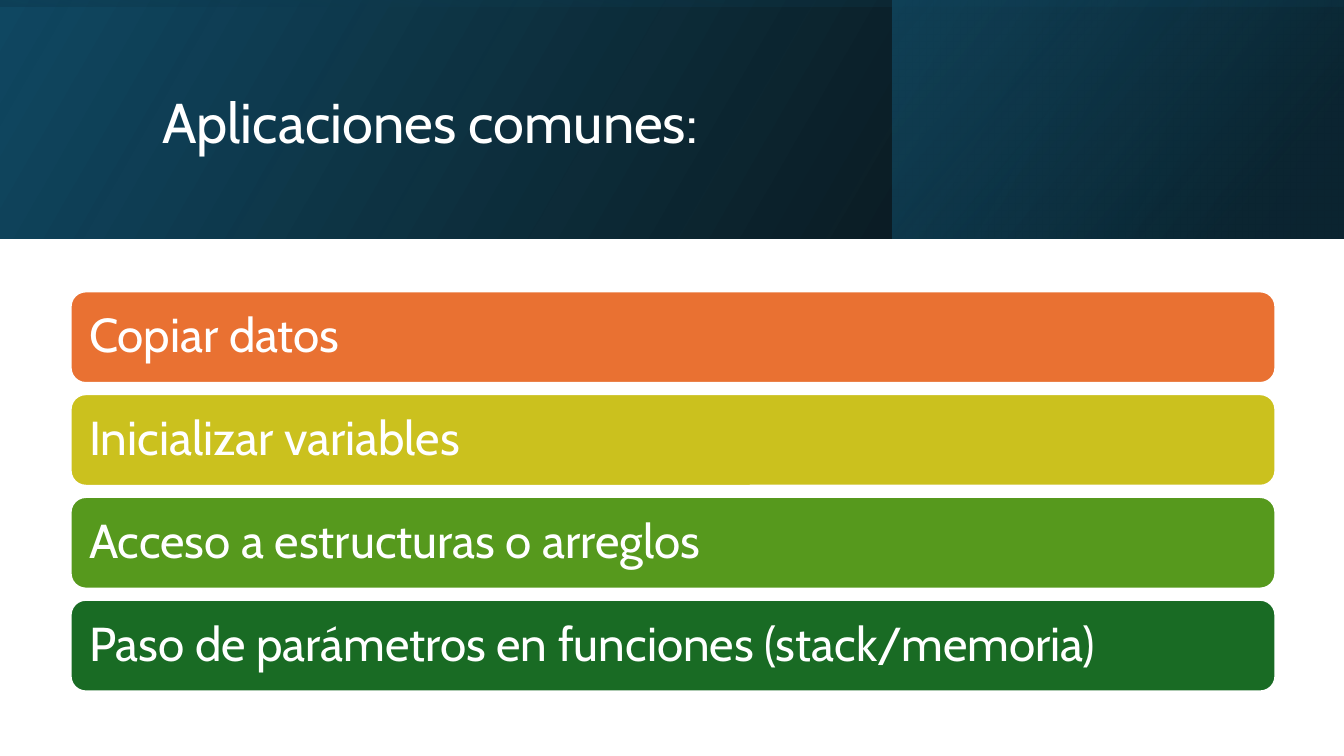
from pptx import Presentation
from pptx.dml.color import RGBColor
from pptx.enum.shapes import MSO_SHAPE
from pptx.enum.text import MSO_ANCHOR, PP_ALIGN
from pptx.oxml.ns import qn
from pptx.util import Inches, Pt

RECTANGLE = MSO_SHAPE.RECTANGLE
ROUNDED = MSO_SHAPE.ROUNDED_RECTANGLE
MIDDLE = MSO_ANCHOR.MIDDLE
LEFT = PP_ALIGN.LEFT

FONT = "Cabin"
WHITE = "FFFFFF"
SLIDE_WIDTH, SLIDE_HEIGHT = 13.33, 7.5
HEADER_HEIGHT = 2.37
ACCENT_WIDTH = 4.48
BAR_LEFT, BAR_TOP, BAR_WIDTH, BAR_HEIGHT = 0.7, 2.89, 11.95, 0.91
BAR_PITCH = 1.02

APPLICATIONS = [
    ("Copiar datos", "E97132"),
    ("Inicializar variables", "CBC11E"),
    ("Acceso a estructuras o arreglos", "56991D"),
    ("Paso de parámetros en funciones (stack/memoria)", "196B24"),
]


def rgb(color):
    return RGBColor.from_string(color)


def add_gradient_panel(slide, left, top, width, height, stops, angle, rotation=0):
    """Add a mirrored panel; stops are (position, colour, opacity) in percent."""
    panel = slide.shapes.add_shape(
        RECTANGLE, Inches(left), Inches(top), Inches(width), Inches(height))
    panel.shadow.inherit = False
    panel.line.fill.background()
    panel.rotation = rotation
    panel._element.spPr.find(qn("a:xfrm")).set("flipH", "1")
    panel.fill.gradient()
    panel.fill.gradient_angle = angle
    for gradient_stop, (position, color, _) in zip(panel.fill.gradient_stops, stops):
        gradient_stop.position = position / 100
        gradient_stop.color.rgb = rgb(color)
    stop_colors = panel._element.spPr.iter(qn("a:srgbClr"))
    for stop_color, (_, _, opacity) in zip(list(stop_colors), stops):
        alpha = stop_color.makeelement(qn("a:alpha"), {"val": str(opacity * 1000)})
        stop_color.append(alpha)


def write_text(frame, text, size):
    frame.word_wrap = True
    frame.vertical_anchor = MIDDLE
    paragraph = frame.paragraphs[0]
    paragraph.text = text
    paragraph.alignment = LEFT
    paragraph.line_spacing = 0.9
    paragraph.font.name = FONT
    paragraph.font.size = Pt(size)
    paragraph.font.color.rgb = rgb(WHITE)


def add_header(slide):
    add_gradient_panel(slide, 0, 0, SLIDE_WIDTH, HEADER_HEIGHT,
                       [(0, "000000", 96), (100, "104862", 100)], 30)
    add_gradient_panel(slide, SLIDE_WIDTH - ACCENT_WIDTH, 0, ACCENT_WIDTH, HEADER_HEIGHT,
                       [(19, "0B3041", 68), (100, "156082", 48)], 40)
    # A quarter turn lays this upright panel across the whole header.
    offset = (SLIDE_WIDTH - HEADER_HEIGHT) / 2
    add_gradient_panel(slide, offset, -offset, HEADER_HEIGHT, SLIDE_WIDTH,
                       [(23, "104862", 16), (99, "000000", 45)], 10, rotation=270)
    title = slide.shapes.add_textbox(
        Inches(1.51), Inches(0.38), Inches(10.63), Inches(1.72))
    write_text(title.text_frame, "Aplicaciones comunes:", 40)


def add_bar(slide, top, text, color):
    bar = slide.shapes.add_shape(
        ROUNDED, Inches(BAR_LEFT), Inches(top), Inches(BAR_WIDTH), Inches(BAR_HEIGHT))
    bar.shadow.inherit = False
    bar.fill.solid()
    bar.fill.fore_color.rgb = rgb(color)
    bar.line.color.rgb = rgb(WHITE)
    bar.line.width = Pt(1.5)
    frame = bar.text_frame
    # The rounded corners already inset the text by about 0.05 inches.
    frame.margin_left = frame.margin_right = Inches(0.14)
    frame.margin_top = frame.margin_bottom = Inches(0.14)
    write_text(frame, text, 34)


def main():
    presentation = Presentation()
    presentation.slide_width = Inches(SLIDE_WIDTH)
    presentation.slide_height = Inches(SLIDE_HEIGHT)
    slide = presentation.slides.add_slide(presentation.slide_layouts[6])
    add_header(slide)
    for row, (text, color) in enumerate(APPLICATIONS):
        add_bar(slide, BAR_TOP + row * BAR_PITCH, text, color)
    presentation.save("out.pptx")


if __name__ == "__main__":
    main()
